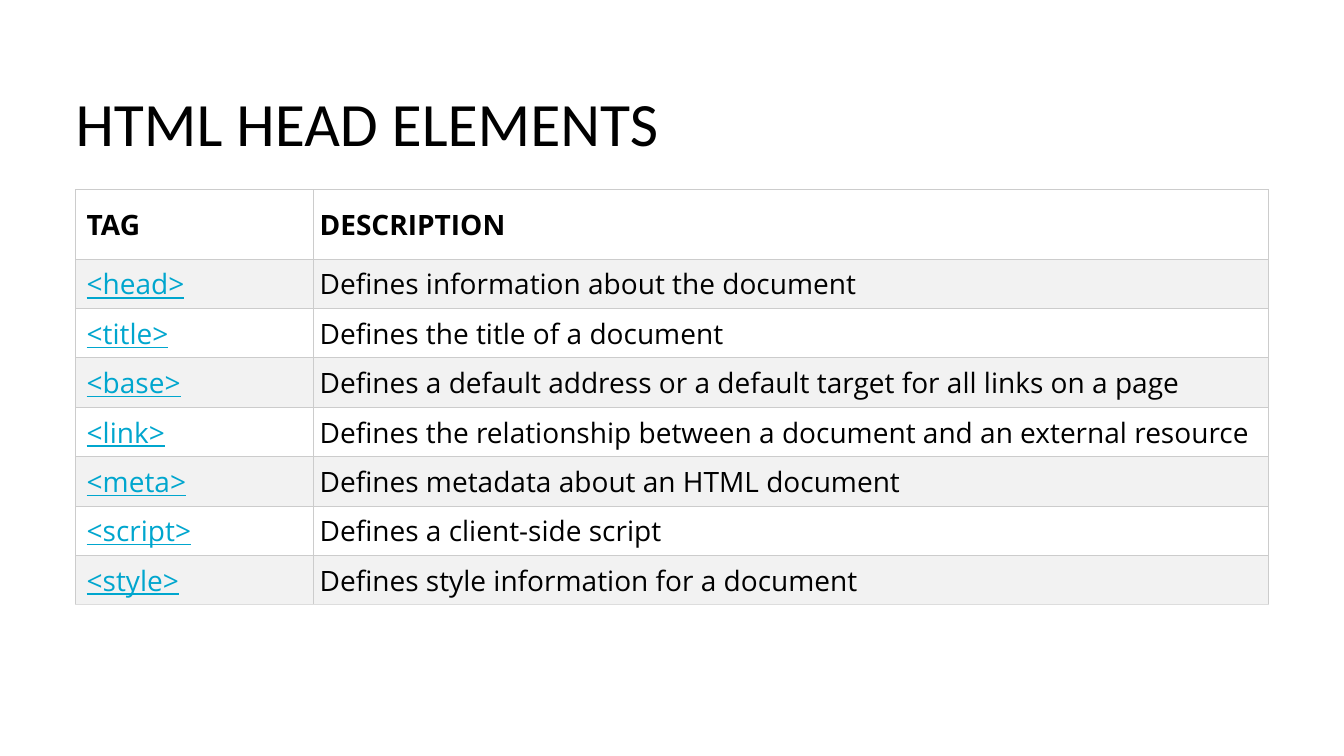
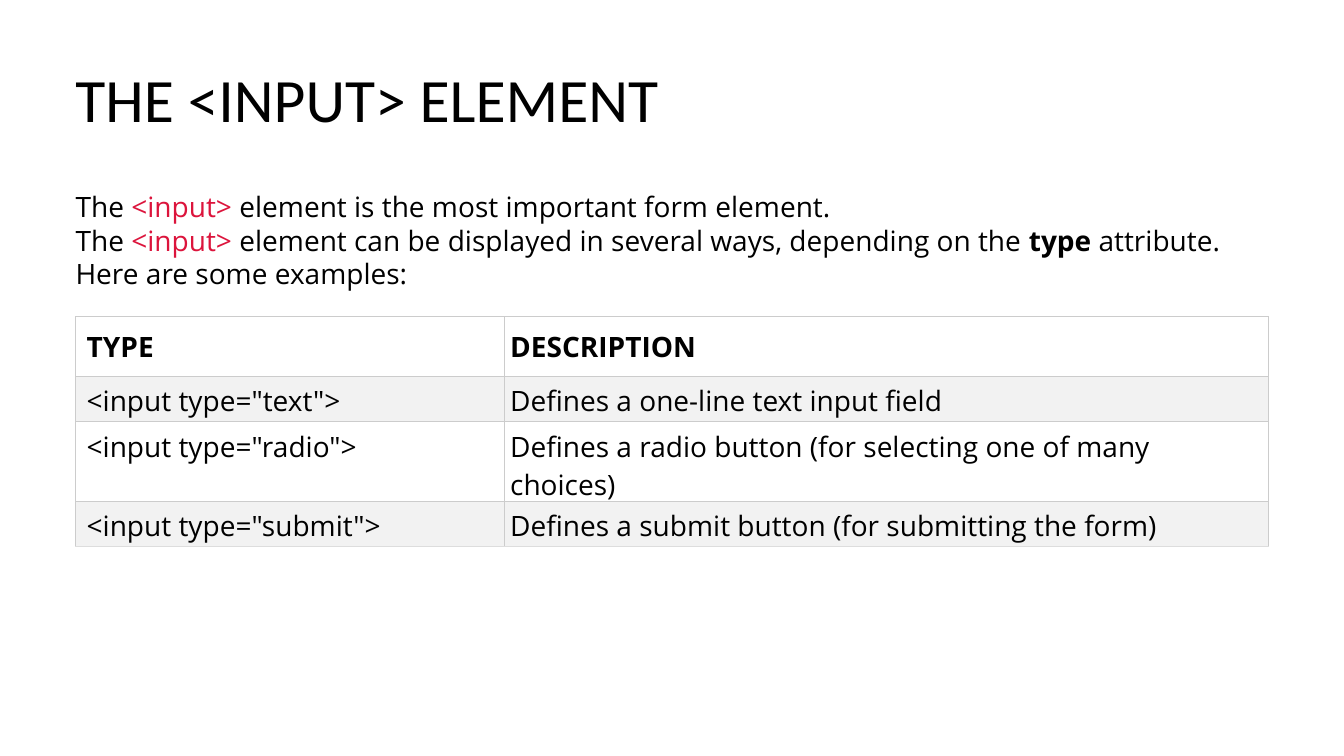
import pptx
import pptx.util
import pptx.dml.color
import pptx.enum.text
import pptx.oxml.ns
from lxml import etree

Inches, Pt = pptx.util.Inches, pptx.util.Pt
ANCHOR = pptx.enum.text.MSO_ANCHOR

COLORS = {"text": "000000", "tag": "00A6CE", "code": "DC143C",
          "white": "FFFFFF", "band": "F2F2F2",
          "border": "CCCCCC", "bottom": "DDDDDD"}
TITLE = {"font": "Calibri", "size": 44}
BODY = {"font": "Open Sans", "size": 20}
LEFT, WIDTH = 0.75, 11.83

HEAD_TABLE = [
    ("TAG", "DESCRIPTION"),
    ("<head>", "Defines information about the document"),
    ("<title>", "Defines the title of a document"),
    ("<base>", "Defines a default address or a default target for all links on a page"),
    ("<link>", "Defines the relationship between a document and an external resource"),
    ("<meta>", "Defines metadata about an HTML document"),
    ("<script>", "Defines a client-side script"),
    ("<style>", "Defines style information for a document"),
]

INPUT_TABLE = [
    ("TYPE", "DESCRIPTION"),
    ('<input type="text">', "Defines a one-line text input field"),
    ('<input type="radio">', "Defines a radio button (for selecting one of many choices)"),
    ('<input type="submit">', "Defines a submit button (for submitting the form)"),
]

CODE = {"color": "code"}
INPUT_INTRO = [
    [("The ", {}), ("<input>", CODE),
     (" element is the most important form element.", {})],
    [("The ", {}), ("<input>", CODE),
     (" element can be displayed in several ways, depending on the ", {}),
     ("type", {"bold": True}), (" attribute.", {})],
    [("Here are some examples:", {})],
]


def rgb(name):
    return pptx.dml.color.RGBColor.from_string(COLORS[name])


def add_run(p, text, font, size, color="text", bold=False, underline=False):
    r = p.add_run()
    r.text = text
    r.font.name, r.font.size = font, Pt(size)
    r.font.bold, r.font.underline = bold, underline
    r.font.color.rgb = rgb(color)


def add_text(s, box, paragraphs, style, inset=0, line_spacing=None):
    """Add a text box; each paragraph is a list of (text, run options)."""
    tf = s.shapes.add_textbox(*map(Inches, box)).text_frame
    tf.word_wrap = True
    tf.margin_left = Inches(inset)
    for i, runs in enumerate(paragraphs):
        p = tf.paragraphs[0] if i == 0 else tf.add_paragraph()
        if line_spacing:
            p.line_spacing = Pt(line_spacing)
        for text, options in runs:
            add_run(p, text, **{**style, **options})


def add_title(s, text, box, **layout):
    add_text(s, box, [[(text, {})]], TITLE, **layout)


def set_borders(cell, bottom):
    tc_pr = cell._tc.get_or_add_tcPr()
    qn = pptx.oxml.ns.qn
    for side in "LRTB":
        ln = etree.SubElement(tc_pr, qn(f"a:ln{side}"), w=str(Pt(0.6)))
        fill = etree.SubElement(ln, qn("a:solidFill"))
        color = bottom if side == "B" else "border"
        etree.SubElement(fill, qn("a:srgbClr"), val=COLORS[color])


def add_grid(s, rows, top, first_col, header_height, row_height, first_style):
    """Add a banded two-column table; first_style applies to column one's body."""
    heights = [header_height] + [row_height] * (len(rows) - 1)
    box = map(Inches, (LEFT, top, WIDTH, sum(heights)))
    table = s.shapes.add_table(len(rows), 2, *box).table
    table.first_row = table.horz_banding = False
    for col, width in zip(table.columns, (first_col, WIDTH - first_col)):
        col.width = Inches(width)
    for i, (row, height) in enumerate(zip(rows, heights)):
        table.rows[i].height = Inches(height)
        for j, text in enumerate(row):
            cell = table.cell(i, j)
            cell.margin_left = Inches(0.06 if j else 0.11)
            cell.margin_right = cell.margin_top = cell.margin_bottom = Inches(0.06)
            cell.vertical_anchor = ANCHOR.TOP if i else ANCHOR.MIDDLE
            set_borders(cell, "bottom" if i == len(rows) - 1 else "border")
            cell.fill.solid()
            cell.fill.fore_color.rgb = rgb("band" if i % 2 else "white")
            options = {"bold": True} if i == 0 else {} if j else first_style
            add_run(cell.text_frame.paragraphs[0], text, **BODY, **options)


def main():
    prs = pptx.Presentation()
    prs.slide_width, prs.slide_height = Inches(13.33), Inches(7.5)
    blank = prs.slide_layouts[6]

    s = prs.slides.add_slide(blank)
    add_title(s, "HTML HEAD ELEMENTS", (LEFT, 0, WIDTH, 1.88), line_spacing=110)
    add_grid(s, HEAD_TABLE, 1.88, 2.36, 0.69, 0.49,
             {"color": "tag", "underline": True})

    s = prs.slides.add_slide(blank)
    add_text(s, (LEFT, 1.83, WIDTH, 0.6), INPUT_INTRO, BODY)
    add_title(s, "THE <INPUT> ELEMENT", (0.65, 0.56, 11.93, 0.84), inset=0.1)
    add_grid(s, INPUT_TABLE, 3.14, 4.25, 0.59, 0.45, {})

    prs.save("out.pptx")


if __name__ == "__main__":
    main()
